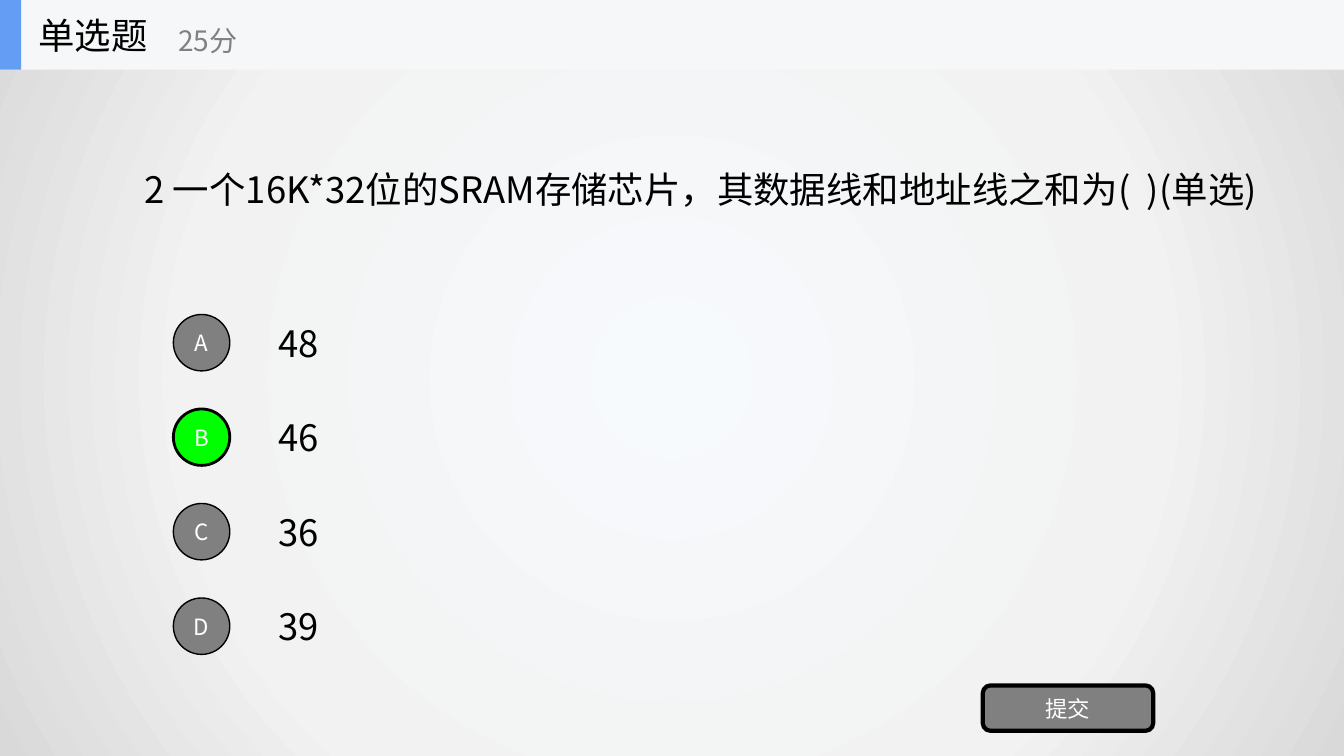
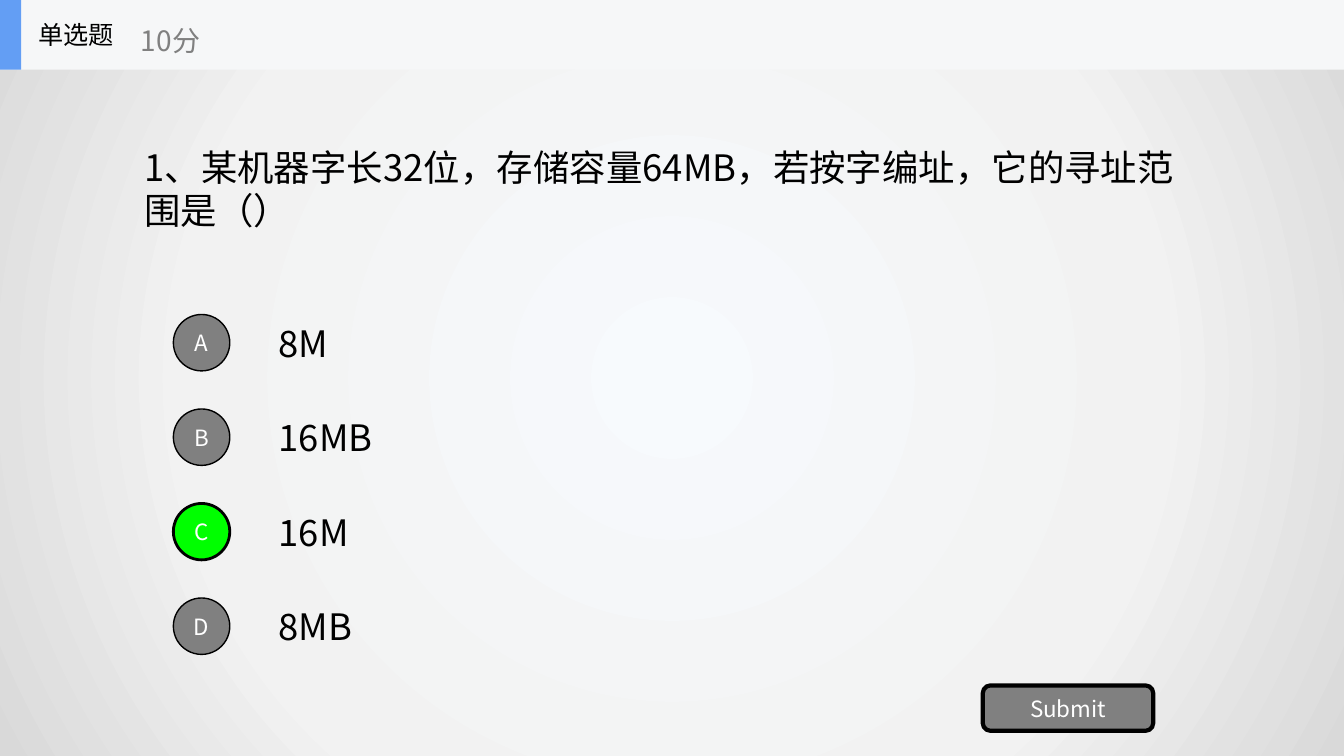
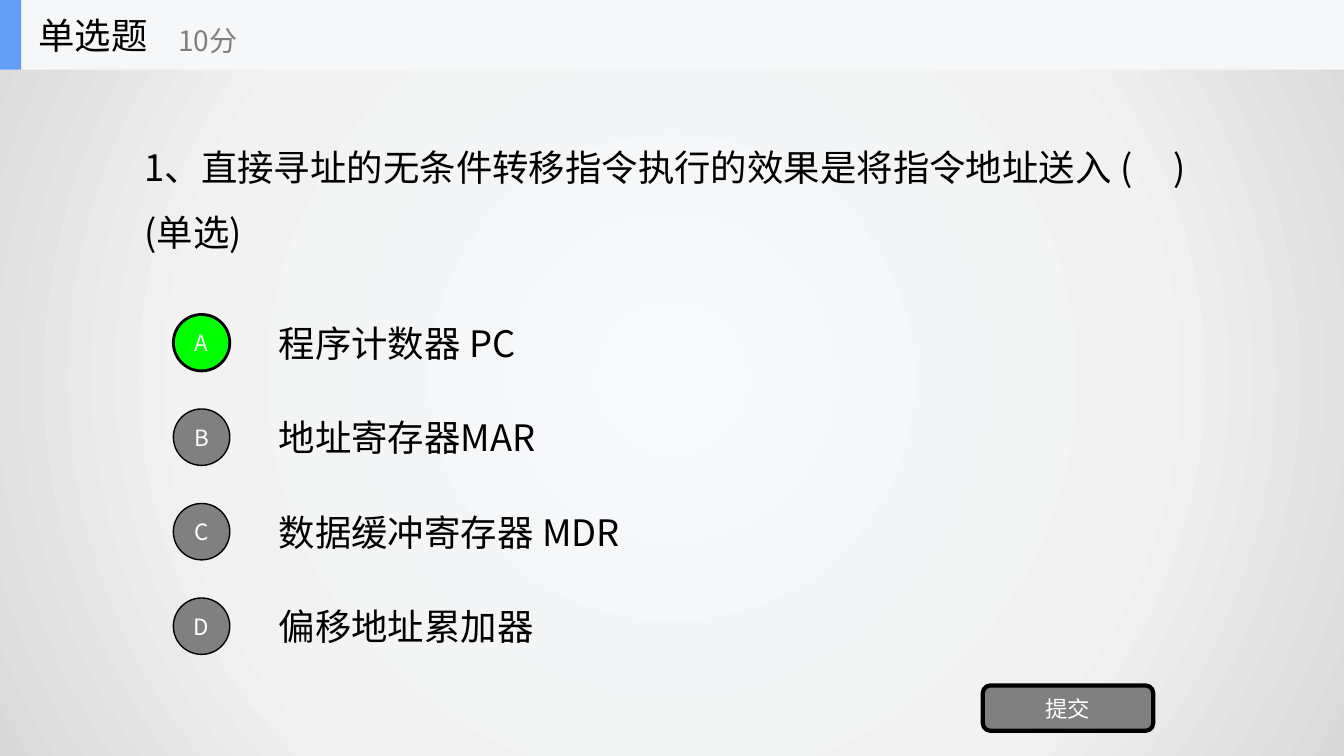
from typing import NamedTuple

from lxml import etree
from pptx import Presentation
from pptx.dml.color import RGBColor
from pptx.enum.shapes import MSO_SHAPE
from pptx.enum.text import MSO_ANCHOR, MSO_AUTO_SIZE, PP_ALIGN
from pptx.oxml import parse_xml
from pptx.oxml.ns import nsdecls, qn
from pptx.util import Inches, Pt

RECT, OVAL, ROUNDED = MSO_SHAPE.RECTANGLE, MSO_SHAPE.OVAL, MSO_SHAPE.ROUNDED_RECTANGLE
MIDDLE = MSO_ANCHOR.MIDDLE
LEFT, CENTER = PP_ALIGN.LEFT, PP_ALIGN.CENTER
NO_FIT = MSO_AUTO_SIZE.NONE

WIDTH, HEIGHT = 13.333, 7.5
COLUMN, ROW = WIDTH / 10, HEIGHT / 8
FIRST_ANSWER = 3.4
BAND_HEIGHT = 0.69
CIRCLE = 0.56
ANSWER_HEIGHT = 0.7

FONT = "Noto Sans CJK SC"
BLACK, WHITE, GREY, GREEN = "000000", "FFFFFF", "808080", "00FF00"
BAND, ACCENT = "F6F7F8", "639EF4"
BACKGROUND_STOPS = ((0, "F7FAFD"), (63, "F2F2F2"), (100, "D9D9D9"))


class Quiz(NamedTuple):
    question: str
    answers: tuple
    correct: str
    score: str
    submit: str = "提交"
    title_size: int = 26
    score_left: float = 1.67
    question_width: float = 10.6
    line_spacing: float = 1.0


QUIZZES = (
    Quiz("2 一个16K*32位的SRAM存储芯片，其数据线和地址线之和为(  )(单选)",
         ("48", "46", "36", "39"), "B", "25分", question_width=11.52),
    Quiz("1、某机器字长32位，存储容量64MB，若按字编址，它的寻址范围是（）",
         ("8M", "16MB", "16M", "8MB"), "C", "10分",
         submit="Submit", title_size=18, score_left=1.3),
    Quiz("1、直接寻址的无条件转移指令执行的效果是将指令地址送入 (     ) (单选)",
         ("程序计数器 PC", "地址寄存器MAR", "数据缓冲寄存器 MDR", "偏移地址累加器"),
         "A", "10分", line_spacing=1.5),
)


def color(value):
    return RGBColor.from_string(value)


def place(shape, left, top, width, height):
    shape.left, shape.top = Inches(left), Inches(top)
    shape.width, shape.height = Inches(width), Inches(height)


def write(shape, text, size, ink=BLACK, align=LEFT, line_spacing=1.0):
    """Fill a shape with one unbulleted, vertically centred paragraph."""
    frame = shape.text_frame
    frame.word_wrap = True
    frame.auto_size = NO_FIT
    frame.vertical_anchor = MIDDLE
    para = frame.paragraphs[0]
    properties = para._p.get_or_add_pPr()
    properties.set("marL", "0")
    properties.set("indent", "0")
    etree.SubElement(properties, qn("a:buNone"))
    para.alignment = align
    para.space_before = Pt(0)
    para.line_spacing = line_spacing
    span = para.add_run()
    span.text = text
    span.font.size = Pt(size)
    span.font.color.rgb = color(ink)
    span.font.name = FONT
    east_asian = etree.SubElement(span._r.get_or_add_rPr(), qn("a:ea"))
    east_asian.set("typeface", FONT)


def add_label(page, text, size, left, top, width, height, ink=BLACK):
    box = page.shapes.add_textbox(Inches(left), Inches(top), Inches(width), Inches(height))
    write(box, text, size, ink)


def add_block(page, kind, left, top, width, height, fill, line_width=0):
    block = page.shapes.add_shape(
        kind, Inches(left), Inches(top), Inches(width), Inches(height))
    block.shadow.inherit = False
    block.fill.solid()
    block.fill.fore_color.rgb = color(fill)
    if line_width:
        block.line.color.rgb = color(BLACK)
        block.line.width = Pt(line_width)
    else:
        block.line.fill.background()
    return block


def add_button(page, kind, text, left, top, width, height, fill, line_width):
    button = add_block(page, kind, left, top, width, height, fill, line_width)
    frame = button.text_frame
    frame.margin_left = frame.margin_right = frame.margin_top = frame.margin_bottom = 0
    write(button, text, 16, WHITE, CENTER)


def set_background(master):
    """Give the master a radial gradient, lightest in the middle."""
    master.background.fill.background()
    stops = "".join(
        f'<a:gs pos="{share * 1000}"><a:srgbClr val="{value}"/></a:gs>'
        for share, value in BACKGROUND_STOPS)
    gradient = parse_xml(
        f'<a:gradFill {nsdecls("a")} rotWithShape="1"><a:gsLst>{stops}</a:gsLst>'
        '<a:path path="circle"><a:fillToRect l="50000" t="50000" r="50000" b="50000"/>'
        '</a:path></a:gradFill>')
    holder = master.element.find(".//" + qn("p:bgPr"))
    holder.replace(holder.find(qn("a:noFill")), gradient)


def share_header(page):
    """Draw the header bands and move them to the layout, behind its placeholders."""
    anchor = page.slide_layout.placeholders[0].element
    for width, fill in ((WIDTH, BAND), (0.21, ACCENT)):
        band = add_block(page, RECT, 0, 0, width, BAND_HEIGHT, fill)
        anchor.addprevious(band.element)


def add_answers(page, answers, correct):
    for index, (letter, answer) in enumerate(zip("ABCD", answers)):
        middle = FIRST_ANSWER + index * ROW
        add_label(page, answer, 26, 2 * COLUMN, middle - ANSWER_HEIGHT / 2,
                  7 * COLUMN, ANSWER_HEIGHT)
        fill, line_width = (GREEN, 2) if letter == correct else (GREY, 1)
        add_button(page, OVAL, letter, 1.5 * COLUMN - CIRCLE / 2, middle - CIRCLE / 2,
                   CIRCLE, CIRCLE, fill, line_width)


def add_quiz(deck, layout, quiz):
    page = deck.slides.add_slide(layout)
    title, question = page.shapes.title, page.placeholders[1]
    place(title, 0.28, 0, 2.08, BAND_HEIGHT)
    write(title, "单选题", quiz.title_size)
    place(question, COLUMN, 1.2, quiz.question_width, 1.34)
    write(question, quiz.question, 26, line_spacing=quiz.line_spacing)
    add_label(page, quiz.score, 20, quiz.score_left, 0.12, 2.5, 0.56, GREY)
    add_answers(page, quiz.answers, quiz.correct)
    add_button(page, ROUNDED, quiz.submit, 9.75, 6.8, 1.69, 0.45, GREY, 3)
    return page


def main():
    deck = Presentation()
    deck.slide_width, deck.slide_height = Inches(WIDTH), Inches(HEIGHT)
    set_background(deck.slide_master)
    layout = deck.slide_layouts[1]
    pages = [add_quiz(deck, layout, quiz) for quiz in QUIZZES]
    share_header(pages[0])
    deck.save("out.pptx")


if __name__ == "__main__":
    main()
